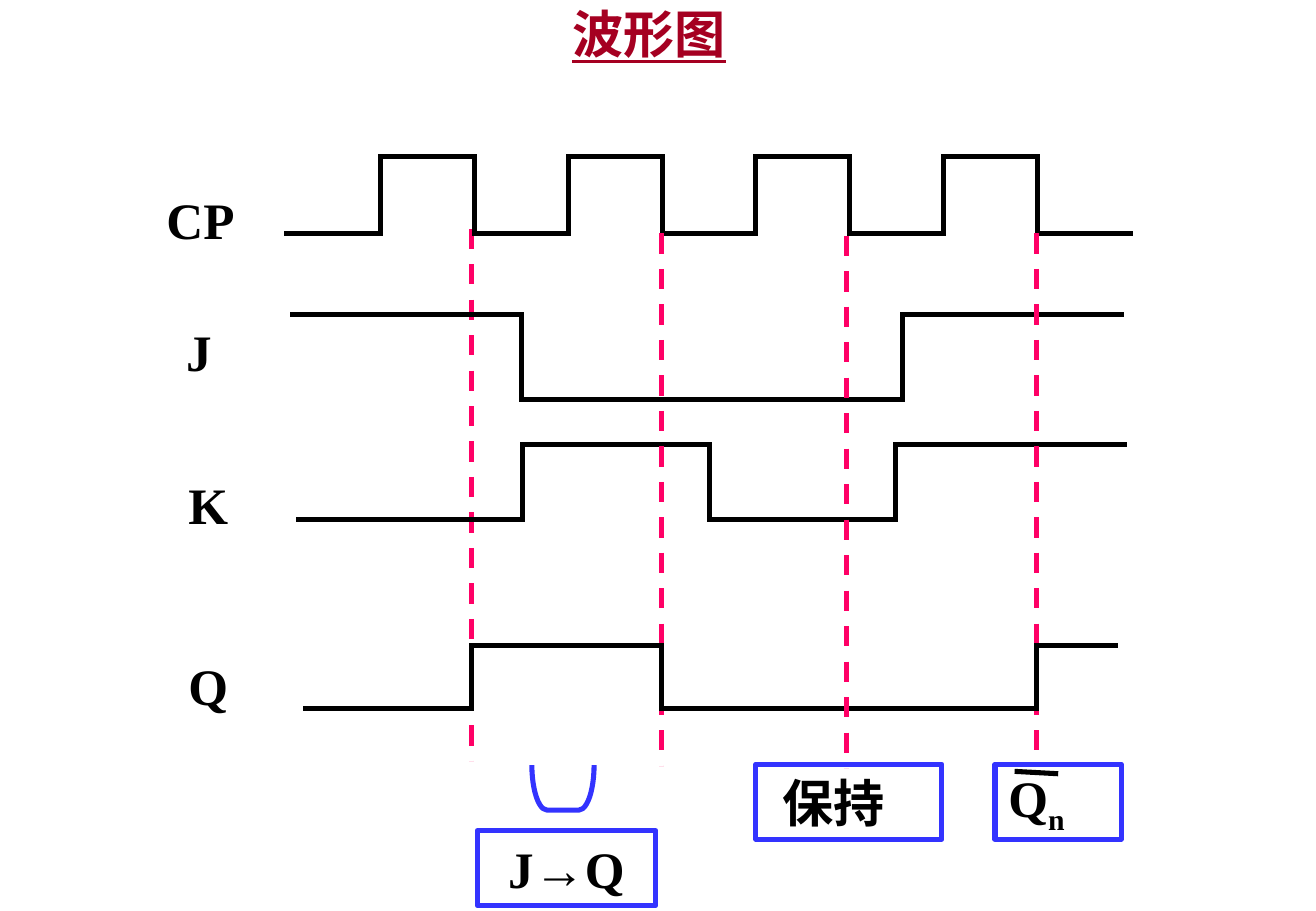
from itertools import pairwise

from lxml import etree
from pptx import Presentation
from pptx.dml.color import RGBColor
from pptx.enum import dml, shapes, text
from pptx.oxml.ns import qn
from pptx.util import Cm, Pt

BLACK, BLUE, PINK, RED = "000000", "3333FF", "FF0066", "A50021"

deck = Presentation()
deck.slide_width, deck.slide_height = Cm(27.51), Cm(19.05)
page = deck.slides.add_slide(deck.slide_layouts[6])


def add_line(start, end, color=BLACK, dash=None, cap="flat"):
    """Draw a 3 pt line between two points given in centimetres."""
    line = page.shapes.add_connector(
        shapes.MSO_CONNECTOR.STRAIGHT, *(Cm(value) for value in (*start, *end)))
    line.line.color.rgb = RGBColor.from_string(color)
    line.line.width = Pt(3)
    line.line.dash_style = dash
    line.line._get_or_add_ln().set("cap", cap)
    etree.SubElement(line._element.spPr, qn("a:effectLst"))


def write(box, words, color=BLACK, subscript="", **formats):
    """Fill a box with one bold paragraph and an optional subscript."""
    frame = box.text_frame
    settings = dict(word_wrap=True, margin_left=Cm(0.28), margin_right=Cm(0.28),
                    margin_top=Cm(0.15), margin_bottom=Cm(0.15)) | formats
    for name, value in settings.items():
        setattr(frame, name, value)
    para = frame.paragraphs[0]
    para.alignment = text.PP_ALIGN.LEFT
    for part in filter(None, (words, subscript)):
        span = para.add_run()
        span.text = part
        for name, value in dict(name="Times New Roman", size=Pt(30.3), bold=True).items():
            setattr(span.font, name, value)
        span.font.color.rgb = RGBColor.from_string(color)
    if subscript:
        span.font._element.set("baseline", "-25000")
    return para


# Title and signal names
labels = [
    ("波形图", 11.68, -0.1, 3.91, RED),
    ("CP", 3.2, 3.78, 2.97, BLACK),
    ("J", 3.61, 6.55, 2.87, BLACK),
    ("K", 3.66, 9.75, 2.51, BLACK),
    ("Q", 3.66, 13.54, 2.46, BLACK),
]
for words, left, top, width, color in labels:
    box = page.shapes.add_textbox(Cm(left), Cm(top), Cm(width), Cm(1.57))
    write(box, words, color).runs[0].font.underline = True if color == RED else None

# Signals: start, end, level changes, first level, second level
clock_start, half_period = 6.0, 1.96
clock_edges = [clock_start + half_period * step for step in range(1, 9)]
clock_end = clock_edges[-1] + half_period
clock = (clock_start, clock_end, clock_edges, 4.88, 3.28)
j_signal = (6.12, 23.44, [10.9, 18.87], 6.57, 8.36)
k_signal = (6.25, 23.5, [10.92, 14.83, 18.72], 10.87, 9.3)
q_signal = (6.38, 23.32, [9.86, 13.82, 21.67], 14.81, 13.5)

# Sampling marks (left, top) lie between the signals in the stacking order
layers = [
    ([(9.86, 4.78)], [clock, j_signal, k_signal]),
    ([(13.82, 4.88), (21.67, 4.88)], [q_signal]),
    ([(17.7, 4.93)], []),
]
for marks, signals in layers:
    for left, top in marks:
        add_line((left, top), (left, top + 11.13), PINK, dml.MSO_LINE.DASH)
    for start, end, edges, *levels in signals:
        points = [(start, levels[0])]
        for index, edge in enumerate(edges):
            points += [(edge, levels[index % 2]), (edge, levels[(index + 1) % 2])]
        points.append((end, points[-1][1]))
        for here, there in pairwise(points):
            add_line(here, there, cap="sq")

# Bracket and result boxes
bracket = page.shapes.add_shape(
    shapes.MSO_SHAPE.LEFT_BRACKET, Cm(11.3), Cm(15.82), Cm(0.94), Cm(1.3))
bracket.rotation = 270
bracket.adjustments[0] = 0.338
outlined = [bracket]

results = [
    ("J→Q", "", 9.98, 17.37, 3.73, 0.28, text.PP_ALIGN.CENTER),
    ("保持", "", 15.8, 15.98, 3.89, 0.55, text.PP_ALIGN.LEFT),
    ("Q", "n", 20.8, 15.98, 2.64, 0.28, text.PP_ALIGN.LEFT),
]
for words, subscript, left, top, width, margin, alignment in results:
    box = page.shapes.add_shape(
        shapes.MSO_SHAPE.RECTANGLE, Cm(left), Cm(top), Cm(width), Cm(1.57))
    para = write(box, words, subscript=subscript, margin_left=Cm(margin),
                 vertical_anchor=text.MSO_ANCHOR.MIDDLE)
    para.alignment = alignment
    outlined.append(box)

for shape in outlined:
    shape.shadow.inherit = False
    shape.fill.background()
    shape.line.color.rgb = RGBColor.from_string(BLUE)
    shape.line.width = Pt(3)

# Bar over Q
add_line((21.21, 16.13), (22.12, 16.18))

deck.save("out.pptx")
